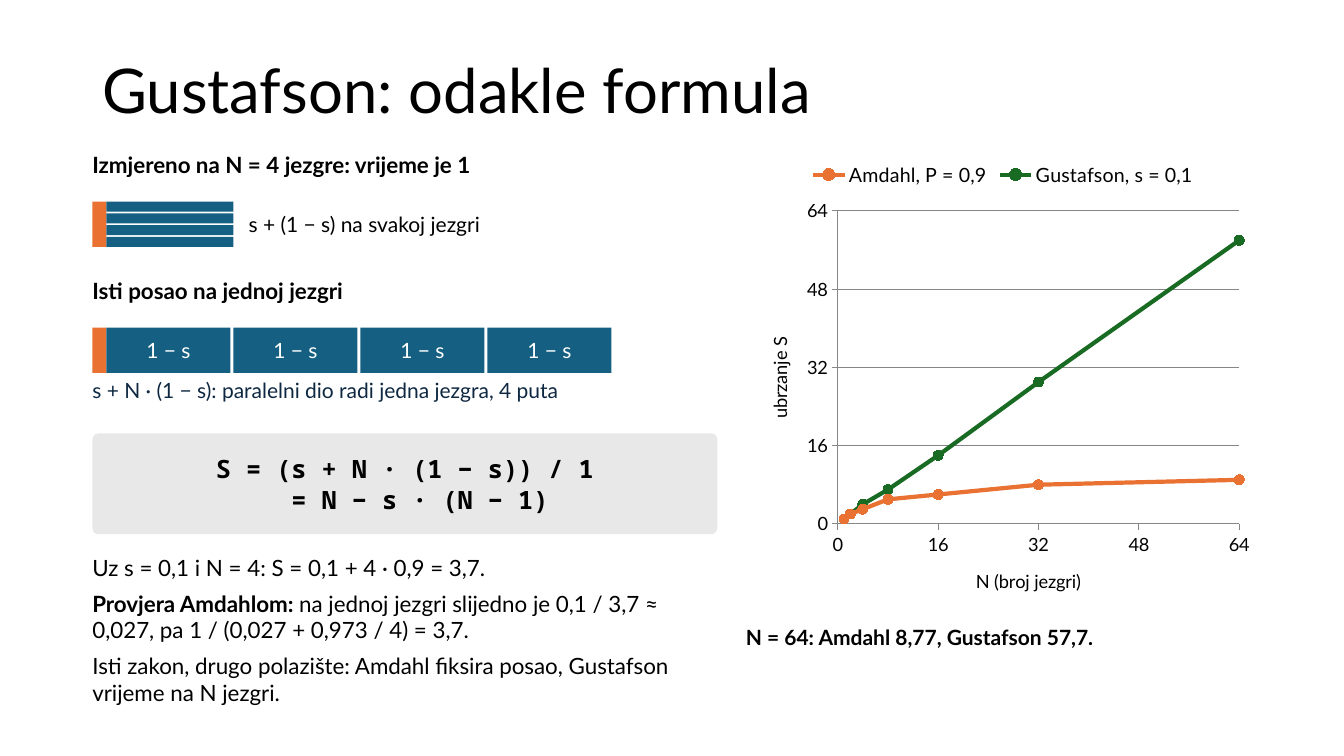
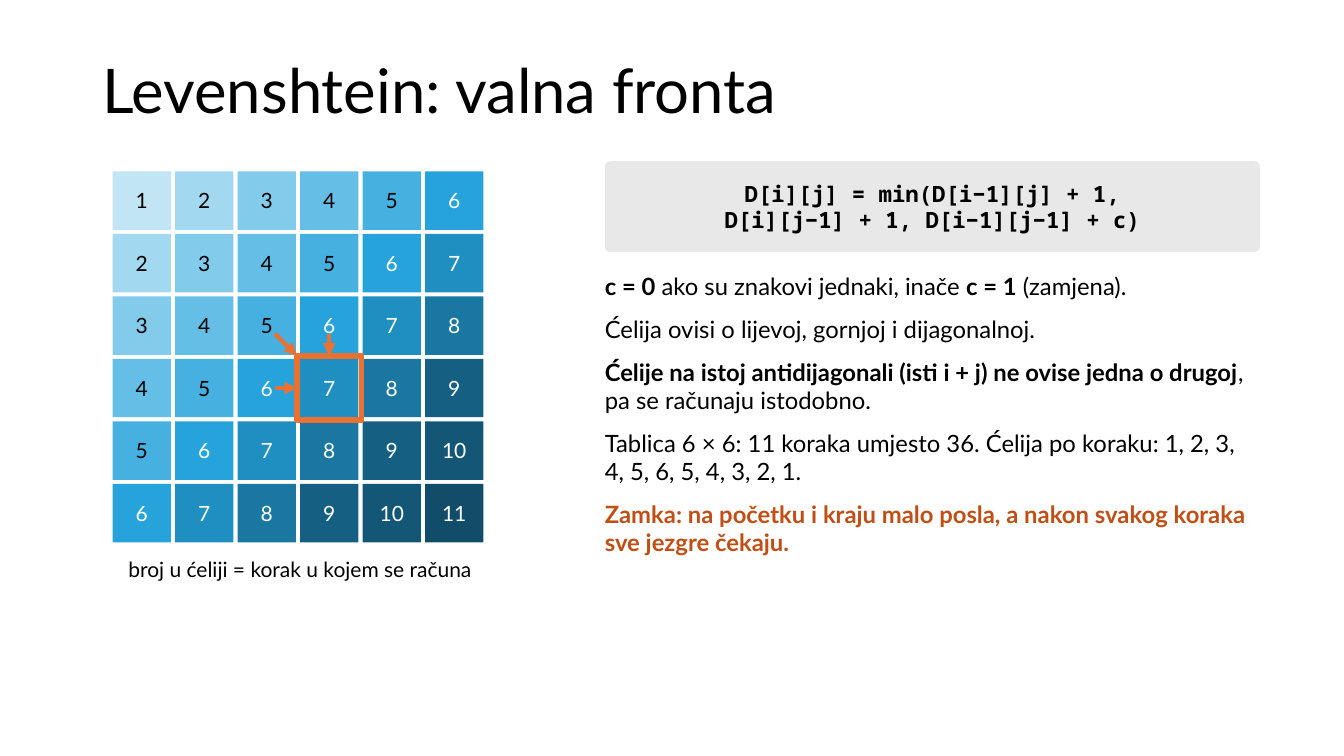
"""Build two lecture slides on parallel speed-up and wavefront computation."""
import pptx
import pptx.chart.data
import pptx.dml.color
import pptx.enum.chart
import pptx.enum.shapes
import pptx.enum.text
import pptx.oxml
import pptx.oxml.ns
import pptx.util

Pt = pptx.util.Pt
ALIGN = pptx.enum.text.PP_ALIGN
ANCHOR = pptx.enum.text.MSO_ANCHOR
SHAPE = pptx.enum.shapes.MSO_SHAPE

FONT = "Lato"
CODE_FONT = "Noto Sans Mono"
BLACK, WHITE, NAVY = "000000", "FFFFFF", "0E2841"
ORANGE, RUST, TEAL, GREEN = "E97132", "C04F15", "156082", "196B24"
PANEL, AXIS = "E8E8E8", "868686"
STEP_COLORS = ("C1E5F5", "A2D8F0", "83CBEB", "64BEE6", "46B1E1", "27A3DC",
               "1F8EC0", "1A77A1", "156082", "135675", "114D68")
LEFT = 66


def color(hex_value):
    """Turn a hex string into a colour."""
    return pptx.dml.color.RGBColor.from_string(hex_value)


def style_font(font, size, hex_value=BLACK, bold=False, name=FONT):
    """Set the look of a font."""
    font.name, font.size, font.bold = name, Pt(size), bold
    font.color.rgb = color(hex_value)


def write(text_frame, lines, size, hex_value=BLACK, name=FONT, align=ALIGN.LEFT,
          anchor=ANCHOR.TOP, insets=(0, 0), space_after=0):
    """Write one paragraph per line, with ** around bold parts."""
    text_frame.word_wrap = True
    text_frame.vertical_anchor = anchor
    text_frame.margin_left = text_frame.margin_right = Pt(insets[0])
    text_frame.margin_top = text_frame.margin_bottom = Pt(insets[1])
    for index, line in enumerate(lines):
        paragraph = text_frame.add_paragraph() if index else text_frame.paragraphs[0]
        paragraph.alignment = align
        paragraph.space_after = Pt(space_after)
        for position, part in enumerate(line.split("**")):
            if part:
                run = paragraph.add_run()
                run.text = part
                style_font(run.font, size, hex_value, position % 2 == 1, name)


def add_text(slide, left, top, width, height, lines, size, **style):
    """Add a text box without insets."""
    box = slide.shapes.add_textbox(Pt(left), Pt(top), Pt(width), Pt(height))
    write(box.text_frame, lines, size, **style)
    return box


def add_box(slide, left, top, width, height, fill=None, kind=SHAPE.RECTANGLE):
    """Add a flat shape without an outline."""
    shape = slide.shapes.add_shape(kind, Pt(left), Pt(top), Pt(width), Pt(height))
    shape.shadow.inherit = False
    shape.line.fill.background()
    if fill:
        shape.fill.solid()
        shape.fill.fore_color.rgb = color(fill)
    else:
        shape.fill.background()
    return shape


def add_label_box(slide, left, top, width, height, fill, label, text_color=WHITE):
    """Add a filled rectangle with a centred label."""
    box = add_box(slide, left, top, width, height, fill)
    write(box.text_frame, [label], 15, text_color, align=ALIGN.CENTER,
          anchor=ANCHOR.MIDDLE, insets=(3.6, 1.44))


def add_formula(slide, left, top, width, height, lines, size):
    """Add a rounded panel with a formula."""
    panel = add_box(slide, left, top, width, height, PANEL, SHAPE.ROUNDED_RECTANGLE)
    panel.adjustments[0] = 0.06
    write(panel.text_frame, [f"**{line}**" for line in lines], size, name=CODE_FONT,
          align=ALIGN.CENTER, anchor=ANCHOR.MIDDLE, insets=(10.8, 3.6))


def add_arrow(slide, start, end):
    """Add an orange arrow between two points given in EMU."""
    arrow = slide.shapes.add_connector(
        pptx.enum.shapes.MSO_CONNECTOR.STRAIGHT, *start, *end)
    arrow.line.color.rgb = color(ORANGE)
    arrow.line.width = Pt(3)
    head = pptx.oxml.parse_xml(
        f'<a:tailEnd {pptx.oxml.ns.nsdecls("a")} type="triangle"/>')
    arrow.line._get_or_add_ln().append(head)
    effects = pptx.oxml.parse_xml(f'<a:effectLst {pptx.oxml.ns.nsdecls("a")}/>')
    arrow._element.spPr.append(effects)
    return arrow


def add_slide(presentation, title):
    """Add a blank slide with a title."""
    slide = presentation.slides.add_slide(presentation.slide_layouts[6])
    box = add_text(slide, LEFT, 28.75, 828, 76.5, [title], 44,
                   anchor=ANCHOR.MIDDLE, insets=(7.2, 3.6))
    box.text_frame.paragraphs[0].line_spacing = 0.9
    return slide


def style_axis(axis, title, gridlines):
    """Set scale, title and lines of a chart axis."""
    axis.minimum_scale, axis.maximum_scale, axis.major_unit = 0, 64, 16
    axis.major_tick_mark = pptx.enum.chart.XL_TICK_MARK.OUTSIDE
    axis.has_major_gridlines = gridlines
    lines = [axis.format.line]
    if gridlines:
        lines.append(axis.major_gridlines.format.line)
    for line in lines:
        line.color.rgb = color(AXIS)
        line.width = Pt(0.75)
    style_font(axis.tick_labels.font, 13)
    axis.axis_title.text_frame.text = title
    style_font(axis.axis_title.text_frame.paragraphs[0].runs[0].font, 13)


def add_speedup_chart(slide):
    """Add the scatter chart that compares both laws."""
    cores = (1, 2, 4, 8, 16, 32, 64)
    curves = (("Amdahl, P = 0,9", ORANGE, (1, 2, 3, 5, 6, 8, 9)),
              ("Gustafson, s = 0,1", GREEN, (1, 2, 4, 7, 14, 29, 58)))
    data = pptx.chart.data.XyChartData()
    for name, _, speedups in curves:
        series = data.add_series(name)
        for point in zip(cores, speedups):
            series.add_data_point(*point)
    chart = slide.shapes.add_chart(
        pptx.enum.chart.XL_CHART_TYPE.XY_SCATTER_LINES,
        Pt(532.8), Pt(108), Pt(367.2), Pt(331.2), data).chart
    style_font(chart.font, 18)
    chart.has_title = False
    chart.has_legend = True
    chart.legend.position = pptx.enum.chart.XL_LEGEND_POSITION.TOP
    chart.legend.include_in_layout = False
    style_font(chart.legend.font, 14)
    style_axis(chart.category_axis, "N (broj jezgri)", False)
    style_axis(chart.value_axis, "ubrzanje S", True)
    chart.plots[0].vary_by_categories = False
    for series, (_, hex_value, _) in zip(chart.plots[0].series, curves):
        series.smooth = False
        series.format.line.color.rgb = color(hex_value)
        series.format.line.width = Pt(3)
        series.marker.style = pptx.enum.chart.XL_MARKER_STYLE.CIRCLE
        series.marker.size = 7
        series.marker.format.fill.solid()
        series.marker.format.fill.fore_color.rgb = color(hex_value)
        series.marker.format.line.color.rgb = color(hex_value)


def add_work_bars(slide):
    """Add the bars for the work on four cores and on one core."""
    cores, serial, parallel, height = 4, 10.08, 90.72, 32.4
    parallel_left = LEFT + serial
    for top in (144, 234):
        add_box(slide, LEFT, top, serial, height, ORANGE)
    for core in range(cores):
        add_box(slide, parallel_left, 144 + core * 8.4, parallel, 7.2, TEAL)
        add_label_box(slide, parallel_left + core * parallel, 234,
                      parallel - 2.16, height, TEAL, "1 − s")
    add_text(slide, 177.6, 144, 331.2, height, ["s + (1 − s) na svakoj jezgri"], 15,
             anchor=ANCHOR.MIDDLE)


def add_gustafson_slide(presentation):
    """Add the slide that derives Gustafson's formula."""
    slide = add_slide(presentation, "Gustafson: odakle formula")
    width = 446.4
    add_text(slide, LEFT, 108, width, 28.8,
             ["**Izmjereno na N = 4 jezgre: vrijeme je 1**"], 16)
    add_text(slide, LEFT, 198, width, 28.8, ["**Isti posao na jednoj jezgri**"], 16)
    add_work_bars(slide)
    add_text(slide, LEFT, 270, width, 28.8,
             ["s + N · (1 − s): paralelni dio radi jedna jezgra, 4 puta"], 15,
             hex_value=NAVY)
    add_formula(slide, LEFT, 309.6, width, 72,
                ["S = (s + N · (1 − s)) / 1", "  = N − s · (N − 1)"], 18)
    add_text(slide, LEFT, 396, width, 122.4, [
        "Uz s = 0,1 i N = 4: S = 0,1 + 4 · 0,9 = 3,7.",
        "**Provjera Amdahlom: **na jednoj jezgri slijedno je 0,1 / 3,7 ≈ 0,027, "
        "pa 1 / (0,027 + 0,973 / 4) = 3,7.",
        "Isti zakon, drugo polazište: Amdahl fiksira posao, Gustafson vrijeme "
        "na N jezgri."], 16, space_after=6)
    add_speedup_chart(slide)
    add_text(slide, 532.8, 446.4, 367.2, 43.2,
             ["**N = 64: Amdahl 8,77, Gustafson 57,7.**"], 15)


def add_wavefront(slide):
    """Add the grid of steps with one cell and its dependencies marked."""
    left, top, pitch, size, count = 80.4, 122.4, 44.64, 41.76, 6
    for row in range(count):
        for column in range(count):
            step = row + column + 1
            add_label_box(slide, left + column * pitch, top + row * pitch, size, size,
                          STEP_COLORS[step - 1], str(step),
                          BLACK if step < count else WHITE)
    outset = 2.16
    frame = add_box(slide, left + 3 * pitch - outset, top + 3 * pitch - outset,
                    size + 2 * outset, size + 2 * outset)
    frame.line.color.rgb = color(ORANGE)
    frame.line.width = Pt(4)
    reach = Pt(15.84)
    middle_x = frame.left + frame.width // 2
    middle_y = frame.top + frame.height // 2
    from_above = add_arrow(slide, (middle_x, frame.top - reach), (middle_x, frame.top))
    from_above.end_connect(frame, 0)
    from_left = add_arrow(slide, (frame.left - reach, middle_y), (frame.left, middle_y))
    from_left.end_connect(frame, 1)
    add_arrow(slide, (frame.left - reach, frame.top - reach), (frame.left, frame.top))
    add_text(slide, left, 397.44, count * pitch, 28.8,
             ["broj u ćeliji = korak u kojem se računa"], 15, align=ALIGN.CENTER)


def add_levenshtein_slide(presentation):
    """Add the slide on the Levenshtein wavefront."""
    slide = add_slide(presentation, "Levenshtein: valna fronta")
    add_wavefront(slide)
    add_formula(slide, 432, 115.2, 468, 64.8,
                ["D[i][j] = min(D[i−1][j] + 1,", "D[i][j−1] + 1, D[i−1][j−1] + c)"], 16)
    notes = add_text(slide, 432, 194.4, 468, 288, [
        "**c = 0** ako su znakovi jednaki, inače **c = 1** (zamjena).",
        "Ćelija ovisi o lijevoj, gornjoj i dijagonalnoj.",
        "**Ćelije na istoj antidijagonali (isti i + j) ne ovise jedna o drugoj**, "
        "pa se računaju istodobno.",
        "Tablica 6 × 6: 11 koraka umjesto 36. Ćelija po koraku: "
        "1, 2, 3, 4, 5, 6, 5, 4, 3, 2, 1.",
        "**Zamka: na početku i kraju malo posla, a nakon svakog koraka "
        "sve jezgre čekaju.**"], 17, space_after=10)
    warning = notes.text_frame.paragraphs[-1].runs[0]
    warning.font.color.rgb = color(RUST)


def main():
    """Build and save the presentation."""
    presentation = pptx.Presentation()
    presentation.slide_width, presentation.slide_height = Pt(960), Pt(540)
    add_gustafson_slide(presentation)
    add_levenshtein_slide(presentation)
    presentation.save("out.pptx")


if __name__ == "__main__":
    main()
